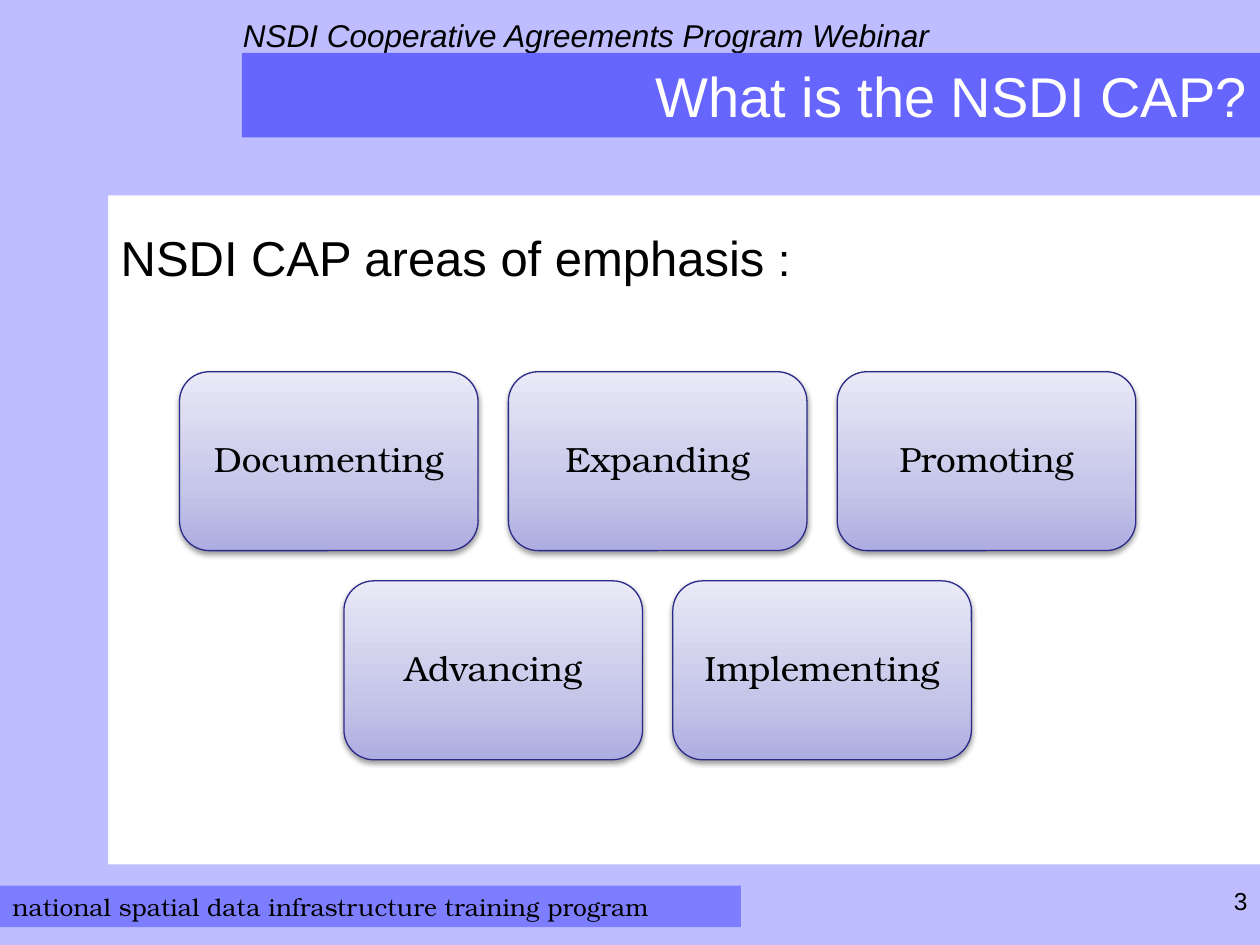
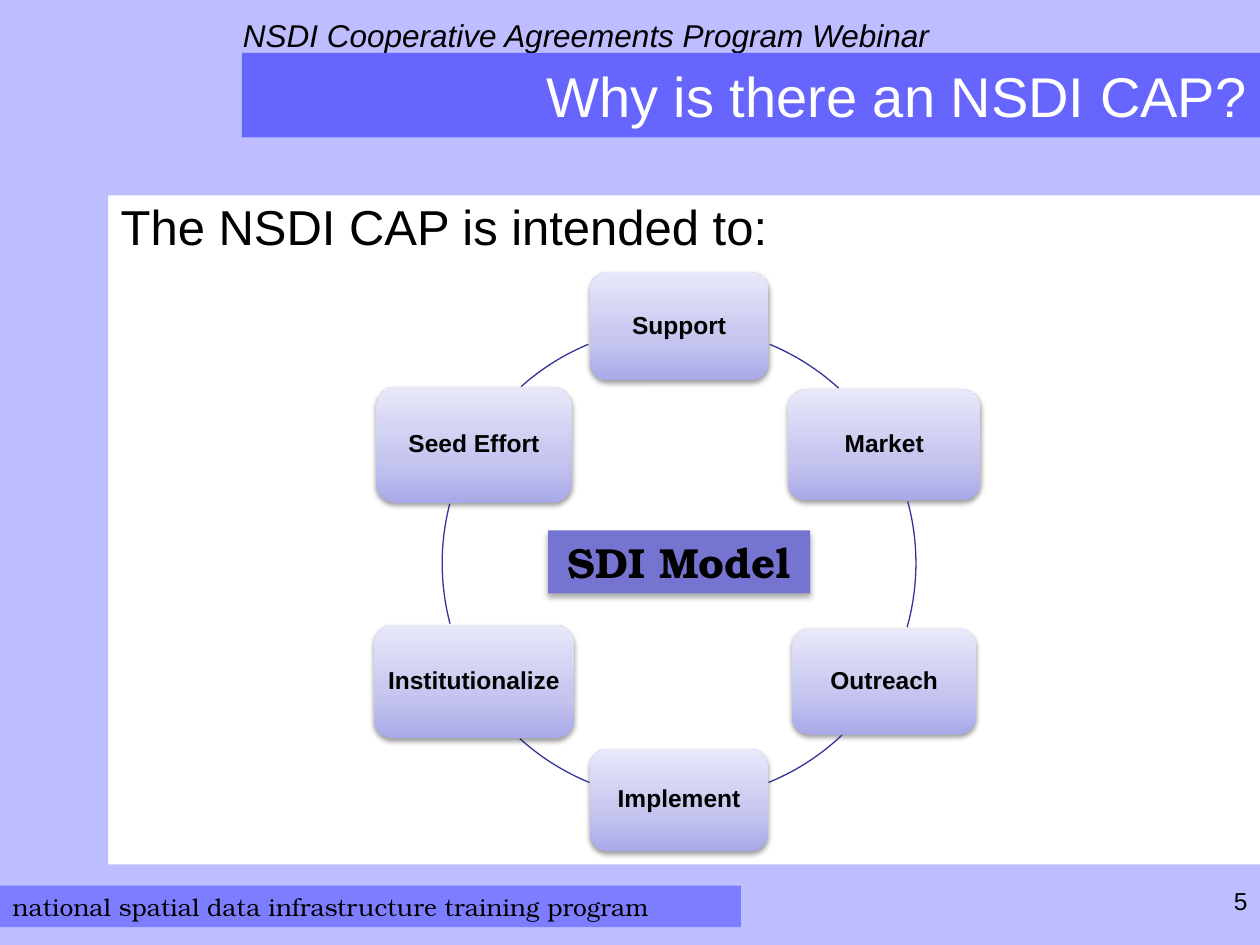
import copy
import math

from pptx import Presentation
from pptx import util as u
from pptx.dml.color import RGBColor
from pptx.enum import shapes, text
from pptx.oxml import parse_xml
from pptx.oxml.ns import nsdecls, qn

SANS, SERIF = "Arial", "TeX Gyre Bonum"
BLACK, WHITE = "000000", "FFFFFF"
PALE, FOOTER, TITLE, CENTRE = "BDBDFF", "7D7DFF", "6666FF", "7575D1"
TILE_STOPS = [(0, "ADADE1"), (0.35, "C6C6E9"), (1, "E9E9F7")]
NODE_STOPS = [(0, "A9A9E9"), (0.35, "C4C4EF"), (1, "E8E8FA")]
LEFT, MIDDLE, RIGHT = text.PP_ALIGN.LEFT, text.PP_ALIGN.CENTER, text.PP_ALIGN.RIGHT
RECT = shapes.MSO_SHAPE.RECTANGLE
ROUND = shapes.MSO_SHAPE.ROUNDED_RECTANGLE


def color(value):
    return RGBColor.from_string(value)


class Builder:
    """Holds the deck, its shared style and the current slide."""

    def __init__(self):
        self.deck = Presentation()
        self.deck.slide_width = u.Inches(10)
        self.deck.slide_height = u.Inches(7.5)
        self.page = None

    def shape(self, kind, at, fill=None, line=None):
        item = self.page.shapes.add_shape(kind, *map(u.Inches, at))
        item.shadow.inherit = False
        if isinstance(fill, list):
            self.gradient(item, fill)
        elif fill:
            item.fill.solid()
            item.fill.fore_color.rgb = color(fill)
        else:
            item.fill.background()
        if line:
            item.line.color.rgb = color(line)
            item.line.width = u.Pt(0.75)
        else:
            item.line.fill.background()
        return item

    def gradient(self, item, stops):
        """Upward gradient with three stops."""
        item.fill.gradient()
        item.fill.gradient_angle = 90
        stop_list = item.element.spPr.find(".//" + qn("a:gsLst"))
        stop_list.append(copy.deepcopy(stop_list[-1]))
        for stop, (position, value) in zip(item.fill.gradient_stops, stops):
            stop.position = position
            stop.color.rgb = color(value)

    def shadow(self, item, alpha=38, blur=3.1, distance=1.6):
        effects = item.element.spPr.find(qn("a:effectLst"))
        effects.append(parse_xml(
            f'<a:outerShdw {nsdecls("a")} blurRad="{u.Pt(blur)}" dist="{u.Pt(distance)}" '
            f'dir="5400000" rotWithShape="0"><a:srgbClr val="{BLACK}">'
            f'<a:alpha val="{alpha * 1000}"/></a:srgbClr></a:outerShdw>'))

    def label(self, item, words, size, font=SANS, ink=BLACK, align=LEFT,
              anchor=text.MSO_ANCHOR.TOP, bold=False, italic=False,
              spacing=None, inset=None):
        frame = item.text_frame
        frame.word_wrap = True
        frame.vertical_anchor = anchor
        if inset is not None:
            frame.margin_left = frame.margin_right = u.Inches(inset)
            frame.margin_top = frame.margin_bottom = u.Inches(inset)
        para = frame.paragraphs[0]
        para.text = words
        para.alignment = align
        if spacing:
            para.line_spacing = spacing
        para.font.name, para.font.size = font, u.Pt(size)
        para.font.bold, para.font.italic = bold, italic
        para.font.color.rgb = color(ink)
        return para

    def text_box(self, at, words, size, **style):
        box = self.page.shapes.add_textbox(*map(u.Inches, at))
        return self.label(box, words, size, **style)

    def card(self, at, words, size, stops, inset, line=None, **style):
        """Shaded rounded rectangle with a centred label."""
        item = self.shape(ROUND, at, stops, line)
        self.shadow(item)
        self.label(item, words, size, align=MIDDLE, anchor=text.MSO_ANCHOR.MIDDLE,
                   spacing=0.9, inset=inset, **style)

    def arc(self, at, start, end, line):
        item = self.shape(shapes.MSO_SHAPE.ARC, at, line=line)
        # Adjustments count 100000 units; angles count 60000 per degree
        item.adjustments[0], item.adjustments[1] = start * 0.6, end * 0.6

    def new_page(self, title, number):
        """Slide with its bands, header, footer and title."""
        self.page = self.deck.slides.add_slide(self.deck.slide_layouts[6])
        for band in [(0, 0, 10, 1.55), (0, 1.22, 0.86, 6), (0, 6.86, 10, 0.64)]:
            self.shape(RECT, band, PALE)
        footer = self.shape(RECT, (0, 7.03, 5.88, 0.33), FOOTER)
        self.label(footer, "national spatial data infrastructure training program",
                   14, font=SERIF)
        self.text_box((1.83, 0.08, 8.08, 0.85),
                      "NSDI Cooperative Agreements Program Webinar", 18, italic=True)
        self.text_box((7.67, 6.98, 2.33, 0.52), number, 14, align=RIGHT)
        heading = self.shape(RECT, (1.92, 0.42, 8.08, 0.67), TITLE)
        self.label(heading, title, 32, ink=WHITE, align=RIGHT,
                   anchor=text.MSO_ANCHOR.MIDDLE)


def emphasis_slide(builder):
    builder.new_page("What is the NSDI CAP?", "3")
    lead = builder.text_box((0.86, 1.71, 9.14, 5.15), "NSDI CAP areas of emphasis ",
                            28, spacing=1.1)
    colon = lead.add_run()
    colon.text = ":"
    colon.font.size = u.Pt(26)

    # Rows of tiles, each centred on the same axis
    width, height, gap, axis, top = 2.37, 1.42, 0.24, 5.22, 2.95
    rows = [["Documenting", "Expanding", "Promoting"], ["Advancing", "Implementing"]]
    for row, names in enumerate(rows):
        left = axis - (len(names) * (width + gap) - gap) / 2
        for column, name in enumerate(names):
            at = (left + column * (width + gap), top + row * (height + gap), width, height)
            builder.card(at, name, 20, TILE_STOPS, 0.08, line="2A2A89", font=SERIF)


def purpose_slide(builder):
    builder.new_page("Why is there an NSDI CAP?", "5")
    builder.text_box((0.86, 1.51, 9.14, 5.35), "The NSDI CAP is intended to:", 28)

    # Ring of steps: name, size, and the arc that leads to the next step
    centre_x, centre_y, radius = 5.39, 4.47, 1.88
    ring = (centre_x - radius, centre_y - radius, 2 * radius, 2 * radius)
    steps = [
        ("Support", 1.42, 0.86, 292.5, 312.4),
        ("Market", 1.53, 0.88, 344.9, 15.7),
        ("Outreach", 1.46, 0.84, 46.5, 67.8),
        ("Implement", 1.41, 0.81, 112.2, 132.2),
        ("Institutionalize", 1.59, 0.9, 165.2, 194.5),
        ("Seed Effort", 1.55, 0.92, 228.2, 247.5),
    ]
    for index, (name, width, height, start, end) in enumerate(steps):
        angle = math.radians(index * 360 / len(steps) - 90)
        left = centre_x + radius * math.cos(angle) - width / 2
        top = centre_y + radius * math.sin(angle) - height / 2
        builder.card((left, top, width, height), name, 14, NODE_STOPS, 0.05, bold=True)
        builder.arc(ring, start, end, "333399")

    # Label in the middle of the ring
    model = builder.shape(RECT, (4.35, 4.21, 2.08, 0.5), CENTRE)
    builder.shadow(model, alpha=32, blur=3.5, distance=2.2)
    builder.label(model, "SDI Model", 24, font=SERIF, align=MIDDLE, bold=True)


def main():
    builder = Builder()
    emphasis_slide(builder)
    purpose_slide(builder)
    builder.deck.save("out.pptx")


if __name__ == "__main__":
    main()
